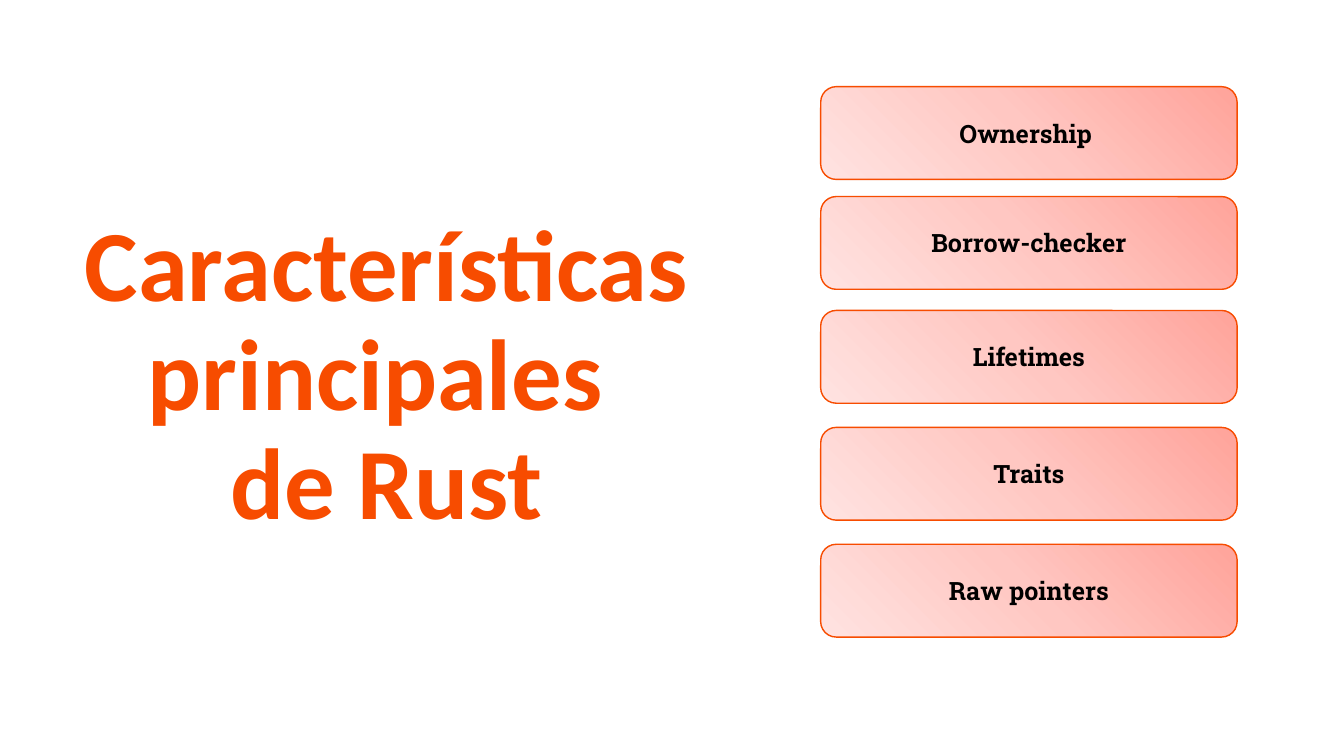
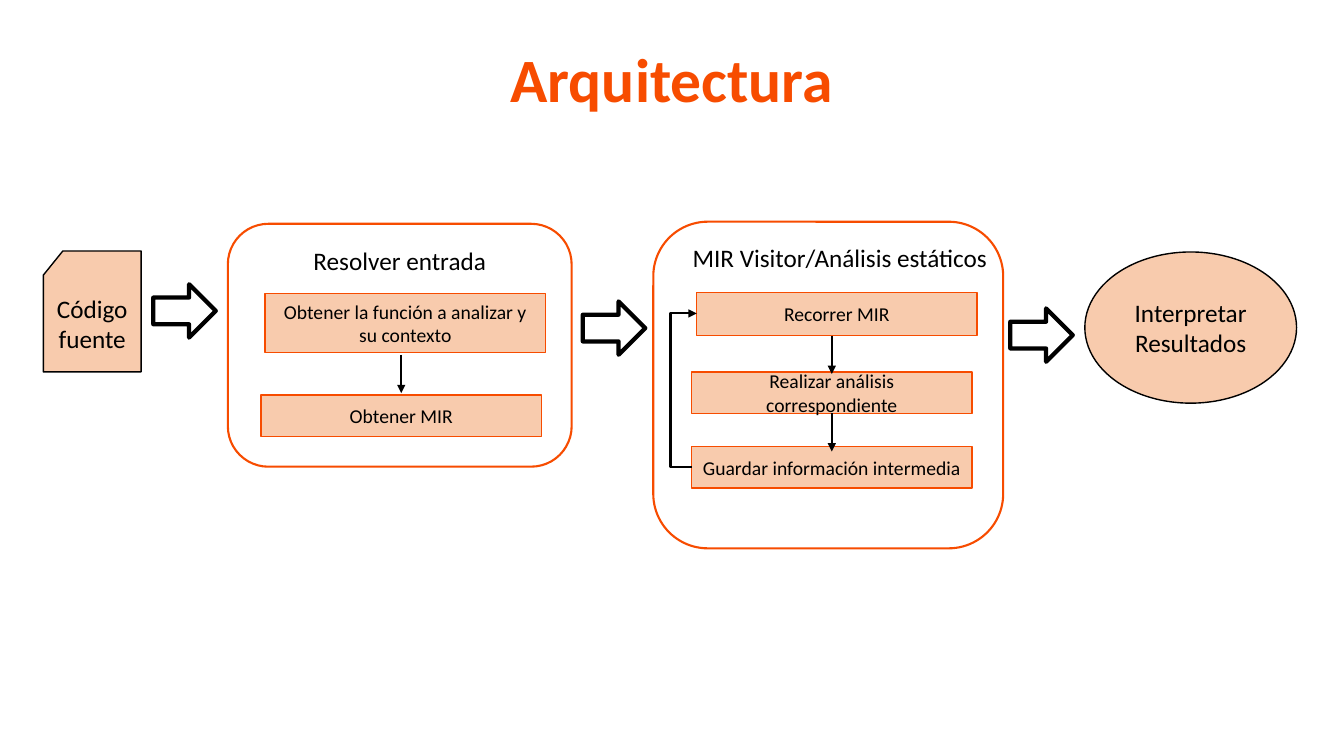
from lxml import etree
from pptx import Presentation
from pptx.dml.color import RGBColor
from pptx.enum.shapes import MSO_CONNECTOR, MSO_SHAPE
from pptx.enum.text import MSO_ANCHOR, MSO_AUTO_SIZE, PP_ALIGN
from pptx.oxml import parse_xml
from pptx.oxml.ns import nsdecls, qn
from pptx.util import Inches, Pt

ORANGE = RGBColor(0xF7, 0x4C, 0x00)
PEACH = RGBColor(0xF8, 0xCB, 0xAD)
BLACK = RGBColor(0, 0, 0)
WHITE = RGBColor(0xFF, 0xFF, 0xFF)
# Glow from the top right corner outwards
GLOW = [(0, RGBColor(0xFF, 0xA3, 0x9A)), (50, RGBColor(0xFF, 0xC7, 0xC2)),
        (100, RGBColor(0xFF, 0xE3, 0xE1))]
SANS, SLAB = "Calibri", "Roboto Slab"


class Deck:
    def __init__(self):
        self.prs = Presentation()
        self.prs.slide_width = Inches(13.33)
        self.prs.slide_height = Inches(7.5)
        self.slide = None

    def label(self, frame, paras, size, color=BLACK, font=SANS, bold=False):
        """Fill a frame with centred paragraphs; each is a list of lines."""
        frame.word_wrap = True
        for i, lines in enumerate(paras):
            para = frame.add_paragraph() if i else frame.paragraphs[0]
            para.alignment = PP_ALIGN.CENTER
            for j, line in enumerate(lines):
                if j:
                    para.add_line_break()
                run = para.add_run()
                run.text = line
                run.font.name, run.font.size = font, Pt(size)
                run.font.bold, run.font.color.rgb = bold, color

    def page(self, box, lines, size):
        """Start a slide with its title."""
        self.slide = self.prs.slides.add_slide(self.prs.slide_layouts[5])
        title = self.slide.shapes.title
        title.left, title.top, title.width, title.height = map(Inches, box)
        frame = title.text_frame
        frame.auto_size = MSO_AUTO_SIZE.NONE
        frame.vertical_anchor = MSO_ANCHOR.MIDDLE
        self.label(frame, [lines], size, ORANGE, bold=True)
        frame.paragraphs[0].line_spacing = 0.9

    def shape(self, kind, box, fill=PEACH, line=ORANGE, width=1):
        item = self.slide.shapes.add_shape(kind, *map(Inches, box))
        item.shadow.inherit = False
        item.fill.solid()
        item.fill.fore_color.rgb = fill
        item.line.color.rgb = line
        item.line.width = Pt(width)
        return item

    def card(self, box, text):
        """Rounded card with a glow."""
        item = self.shape(MSO_SHAPE.ROUNDED_RECTANGLE, box)
        stops = "".join(f'<a:gs pos="{pos * 1000}"><a:srgbClr val="{color}"/></a:gs>'
                        for pos, color in GLOW)
        grad = parse_xml(f'<a:gradFill {nsdecls("a")} rotWithShape="1"><a:gsLst>{stops}</a:gsLst>'
                         '<a:path path="circle"><a:fillToRect l="100000" b="100000"/></a:path>'
                         '</a:gradFill>')
        props = item.element.spPr
        props.replace(props.find(qn("a:solidFill")), grad)
        self.label(item.text_frame, [[text]], 18, font=SLAB, bold=True)

    def step(self, box, text):
        item = self.shape(MSO_SHAPE.RECTANGLE, box)
        self.label(item.text_frame, [[text]], 14)

    def node(self, kind, box, *paras):
        item = self.shape(kind, box, line=BLACK)
        self.label(item.text_frame, [[text] for text in paras], 18)

    def group(self, box, head, text):
        """Outlined stage with a heading."""
        self.shape(MSO_SHAPE.ROUNDED_RECTANGLE, box, WHITE, width=1.5)
        item = self.slide.shapes.add_textbox(*map(Inches, head))
        self.label(item.text_frame, [[text]], 18)

    def block(self, left, top):
        """Block arrow between stages."""
        self.shape(MSO_SHAPE.RIGHT_ARROW, (left, top, 0.62, 0.53), WHITE, BLACK, 3)

    def arrow(self, start, end, bend=None):
        """Thin arrow; bend is the elbow's place as a share of its width."""
        kind = MSO_CONNECTOR.STRAIGHT if bend is None else MSO_CONNECTOR.ELBOW
        item = self.slide.shapes.add_connector(kind, *map(Inches, start + end))
        item.line.color.rgb = BLACK
        item.line.width = Pt(1.5)
        props = item.element.spPr
        etree.SubElement(props.find(qn("a:ln")), qn("a:tailEnd"), type="triangle")
        etree.SubElement(props, qn("a:effectLst"))
        if bend is not None:
            guides = props.find(qn("a:prstGeom")).find(qn("a:avLst"))
            etree.SubElement(guides, qn("a:gd"), name="adj1",
                             fmla=f"val {round(bend * 100000)}")


def main():
    deck = Deck()

    # Main features
    deck.page((0.35, 0, 6.97, 7.5), ["Características principales ", "de Rust"], 72)
    cards = [(0.86, "Ownership "), (1.95, "Borrow-checker"), (3.08, "Lifetimes"),
             (4.24, "Traits"), (5.4, "Raw pointers")]
    for top, text in cards:
        deck.card((8.14, top, 4.13, 0.92), text)

    # Architecture: source code
    deck.page((0, 0, 13.33, 1.64), ["Arquitectura"], 44)
    deck.node(MSO_SHAPE.FLOWCHART_CARD, (0.43, 2.49, 0.97, 1.2), "Código fuente")

    # Resolve the input
    deck.group((2.26, 2.22, 3.41, 2.41), (2.83, 2.38, 2.27, 0.4), "Resolver entrada")
    deck.step((2.63, 2.91, 2.78, 0.59), "Obtener la función a analizar y su contexto")
    deck.step((2.59, 3.92, 2.78, 0.41), "Obtener MIR")
    deck.arrow((3.98, 3.52), (3.98, 3.9))

    # Visit and analyse, in a loop
    deck.group((6.48, 2.2, 3.47, 3.24), (6.71, 2.36, 3.24, 0.4),
               "MIR Visitor/Análisis estáticos")
    deck.step((6.91, 2.9, 2.78, 0.43), "Recorrer MIR")
    deck.step((6.86, 3.69, 2.78, 0.41), "Realizar análisis correspondiente")
    deck.step((6.86, 4.43, 2.78, 0.41), "Guardar información intermedia")
    for top in (3.33, 4.1):
        deck.arrow((8.25, top), (8.25, top + 0.38))
    deck.arrow((6.86, 4.63), (6.91, 3.11), bend=-4.2)

    # Results and the arrows between stages
    deck.node(MSO_SHAPE.OVAL, (10.76, 2.5, 2.1, 1.5), "Interpretar", "Resultados")
    for left, top in ((1.52, 2.82), (5.78, 2.99), (10.02, 3.06)):
        deck.block(left, top)

    deck.prs.save("out.pptx")


if __name__ == "__main__":
    main()
